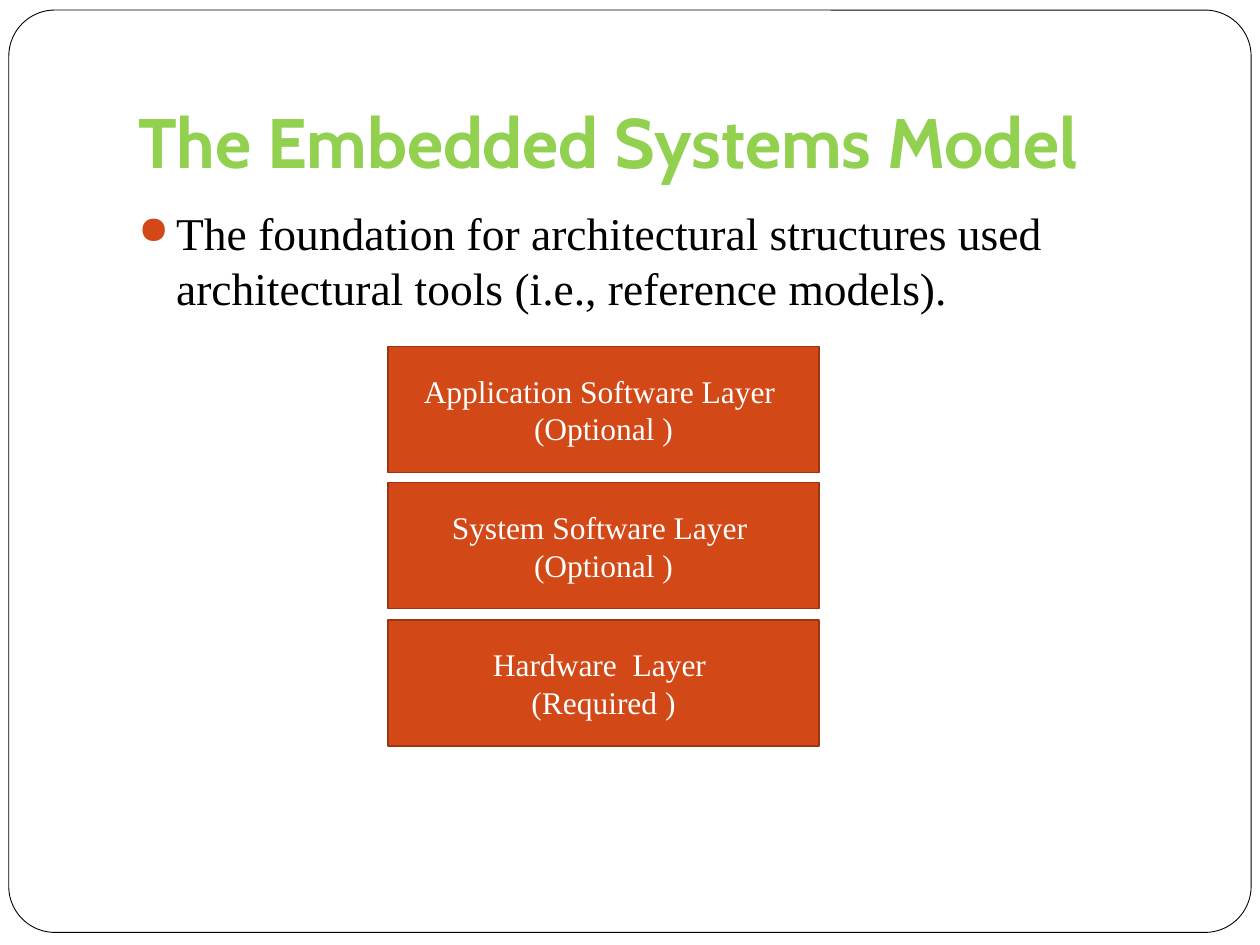
import dataclasses

import lxml.etree
import pptx
import pptx.dml.color
import pptx.enum.shapes
import pptx.enum.text
import pptx.oxml.ns
import pptx.util

RGB = pptx.dml.color.RGBColor
ALIGN = pptx.enum.text.PP_ALIGN
ANCHOR = pptx.enum.text.MSO_ANCHOR
SHAPE = pptx.enum.shapes.MSO_SHAPE

WHITE = RGB(0xFF, 0xFF, 0xFF)
BLACK = RGB(0, 0, 0)
GREEN = RGB(0x92, 0xD0, 0x50)
RUST = RGB(0xD3, 0x48, 0x17)
BROWN = RGB(0x9C, 0x35, 0x11)
SERIF = "Times New Roman"
SCALE = 9144  # EMU per px, 100 px to the inch


@dataclasses.dataclass(frozen=True)
class Box:
    left: int
    top: int
    width: int
    height: int

    def emu(self) -> list[int]:
        return [px * SCALE for px in dataclasses.astuple(self)]


@dataclasses.dataclass(frozen=True)
class Layer:
    name: str
    need: str


LAYERS = [
    Layer("Application Software Layer ", "(Optional )"),
    Layer("System Software Layer ", "(Optional )"),
    Layer("Hardware  Layer ", "(Required )"),
]
FIRST = Box(308, 275, 342, 100)
PITCH = 108.5


def add_bullet(para, color: RGB, indent: int) -> None:
    """Give a paragraph a round bullet with a hanging indent."""
    props = para._p.get_or_add_pPr()
    props.set("marL", str(indent * SCALE))
    props.set("indent", str(-indent * SCALE))
    qn = pptx.oxml.ns.qn
    tint = lxml.etree.SubElement(props, qn("a:buClr"))
    lxml.etree.SubElement(tint, qn("a:srgbClr"), val=str(color))
    lxml.etree.SubElement(props, qn("a:buSzPct"), val="85000")
    lxml.etree.SubElement(props, qn("a:buChar"), char="●")


def write(shape, *lines: str, size: int, color: RGB, font: str = SERIF,
          bold: bool = False, align=ALIGN.LEFT, anchor=ANCHOR.TOP,
          bullet: RGB | None = None, foot: int = 5) -> None:
    """Fill a shape with formatted paragraphs."""
    frame = shape.text_frame
    frame.word_wrap = True
    frame.auto_size = pptx.enum.text.MSO_AUTO_SIZE.NONE
    frame.vertical_anchor = anchor
    frame.margin_left = frame.margin_right = 10 * SCALE
    frame.margin_top, frame.margin_bottom = 5 * SCALE, foot * SCALE
    frame.text = "\n".join(lines)
    for para in frame.paragraphs:
        para.alignment = align
        if bullet is not None:
            add_bullet(para, bullet, 30)
        for run in para.runs:
            run.font.name = font
            run.font.size = pptx.util.Pt(size)
            run.font.bold = bold
            run.font.color.rgb = color


def add_block(slide, kind, box: Box, fill: RGB, line: RGB, width: float):
    """Draw a flat outlined shape."""
    shape = slide.shapes.add_shape(kind, *box.emu())
    shape.shadow.inherit = False
    shape.fill.solid()
    shape.fill.fore_color.rgb = fill
    shape.line.color.rgb = line
    shape.line.width = pptx.util.Pt(width)
    return shape


def main() -> None:
    deck = pptx.Presentation()
    deck.slide_width, deck.slide_height = 1000 * SCALE, 750 * SCALE
    slide = deck.slides.add_slide(deck.slide_layouts[5])

    # Rounded border, sent behind the title
    border = add_block(slide, SHAPE.ROUNDED_RECTANGLE, Box(7, 8, 986, 732),
                       WHITE, BLACK, 0.5)
    border.adjustments[0] = 0.05
    slide.shapes._spTree.insert(2, border._element)

    # Title
    title = slide.shapes.title
    title.left, title.top, title.width, title.height = Box(
        100, 30, 850, 125).emu()
    write(title, "The Embedded Systems Model", size=40, color=GREEN,
          font="Cabin", bold=True, anchor=ANCHOR.BOTTOM, foot=10)

    # Bulleted statement
    body = slide.shapes.add_textbox(*Box(100, 158, 850, 500).emu())
    write(body, "The foundation for architectural structures used "
          "architectural tools (i.e., reference models).",
          size=26, color=BLACK, bullet=RUST)

    # Stack of layers
    for row, layer in enumerate(LAYERS):
        place = dataclasses.replace(FIRST, top=int(FIRST.top + row * PITCH))
        block = add_block(slide, SHAPE.RECTANGLE, place, RUST, BROWN, 1)
        write(block, layer.name, layer.need, size=18, color=WHITE,
              align=ALIGN.CENTER, anchor=ANCHOR.MIDDLE)

    deck.save("out.pptx")


if __name__ == "__main__":
    main()
